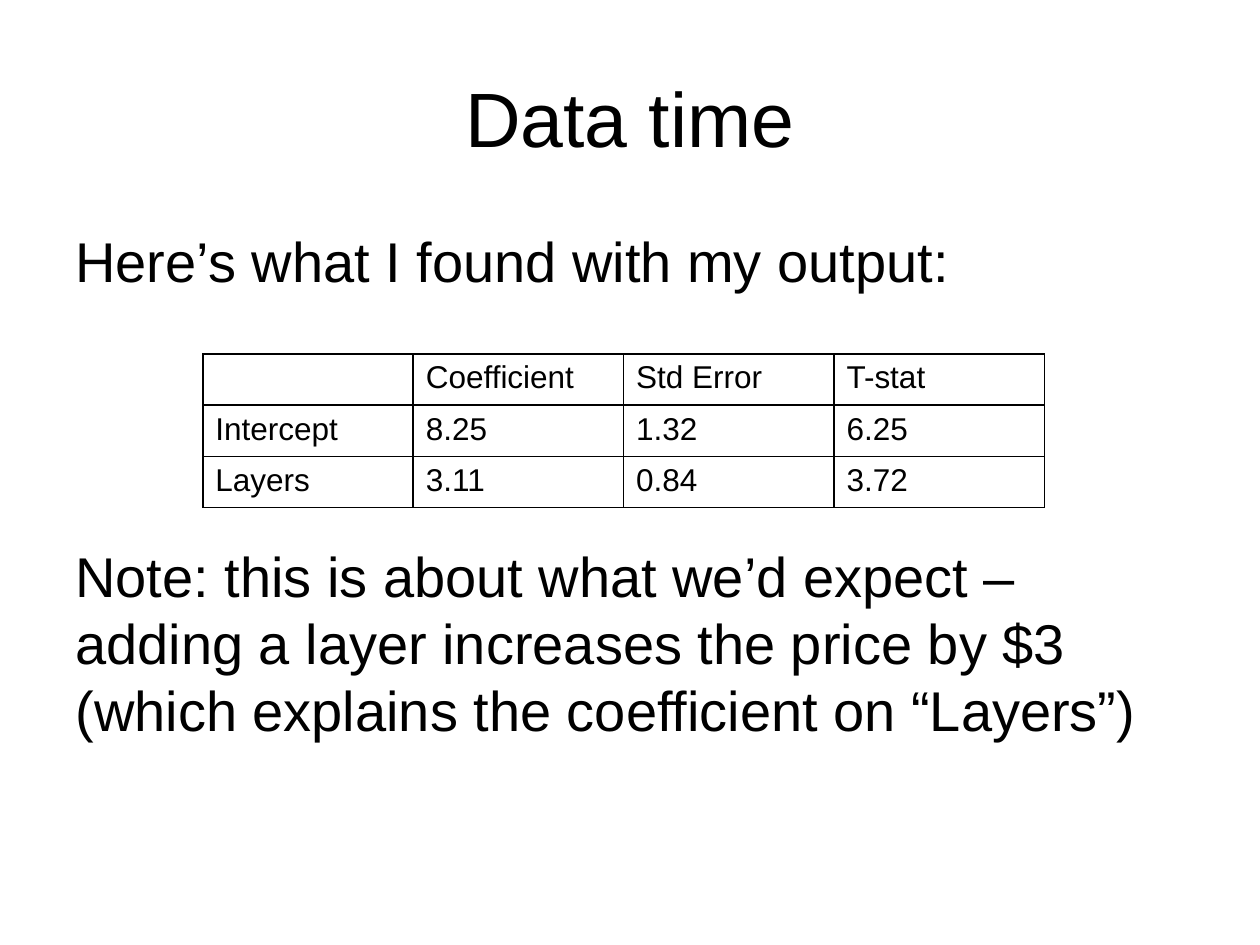
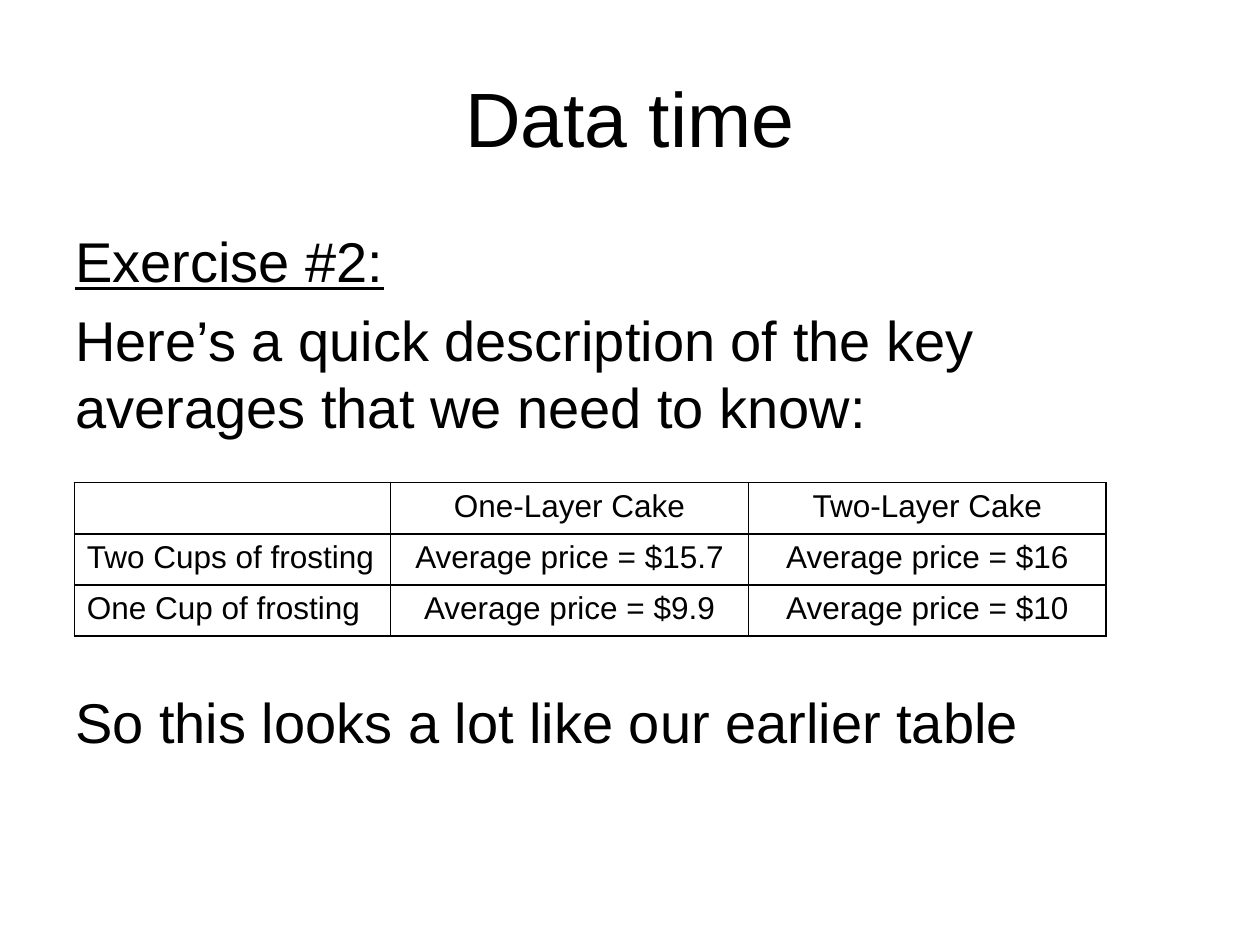
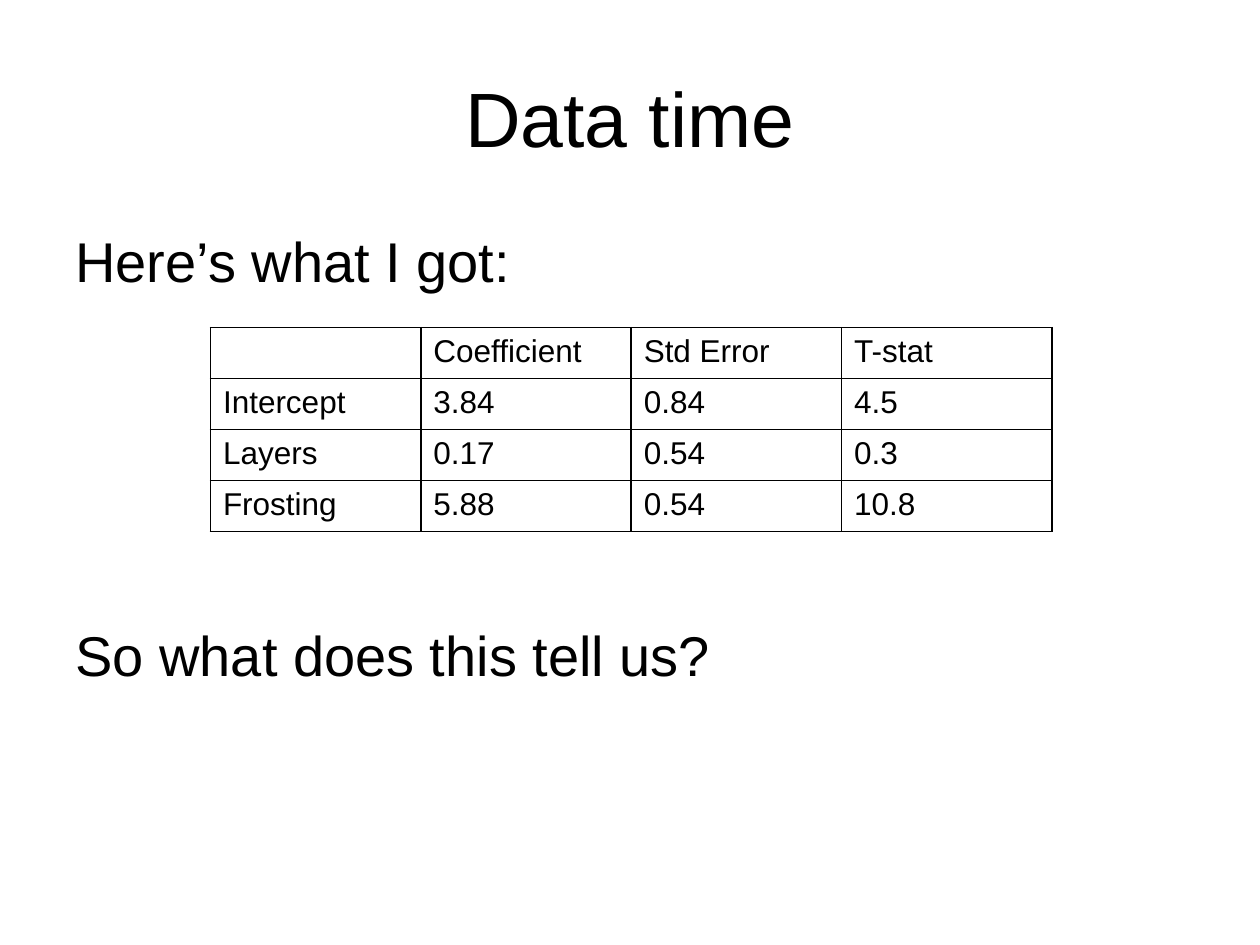
from lxml.etree import SubElement
from pptx import Presentation
from pptx.dml.color import RGBColor
from pptx.enum.text import MSO_ANCHOR as Anchor, PP_ALIGN as Align
from pptx.oxml.ns import qn
from pptx.util import Inches, Pt

SLIDE_WIDTH, SLIDE_HEIGHT = Inches(10), Inches(7.5)
GRID_COLUMNS, GRID_ROWS = 10, 7.5
TITLE_ONLY = 5
FONT = "Arial"
INK = "000000"
TITLE_SIZE, BODY_SIZE, TABLE_SIZE = 44, 32, 18
PARAGRAPH_GAP = 0.2 * BODY_SIZE
BODY_LINE = 45
BORDER_WIDTH = 1
TITLE_AREA = (0.5, 0.3, 9, 1.25)
BODY_AREA = (0.5, 1.75, 9, 4.95)
REGRESSION_HEADER = ["", "Coefficient", "Std Error", "T-stat"]
REGRESSION_COLUMNS = [1.67] * 4


def color(hex_string):
    """Turn a hex string into a colour."""
    return RGBColor.from_string(hex_string)


def across(columns):
    """Convert grid columns to a length."""
    return round(SLIDE_WIDTH * columns / GRID_COLUMNS)


def down(rows):
    """Convert grid rows to a length."""
    return round(SLIDE_HEIGHT * rows / GRID_ROWS)


def area(left, top, width, height):
    """Convert a grid area to lengths."""
    return across(left), down(top), across(width), down(height)


def format_paragraph(paragraph, size, align=Align.LEFT, underline=False):
    """Give a paragraph its alignment and its runs the deck's font."""
    paragraph.alignment = align
    for run in paragraph.runs:
        run.font.name = FONT
        run.font.size = Pt(size)
        run.font.color.rgb = color(INK)
        run.font.underline = underline


def add_titled_slide(presentation, title):
    """Add a slide with the shared title style."""
    slide = presentation.slides.add_slide(presentation.slide_layouts[TITLE_ONLY])
    shape = slide.shapes.title
    shape.left, shape.top, shape.width, shape.height = area(*TITLE_AREA)
    shape.text_frame.text = title
    shape.text_frame.vertical_anchor = Anchor.MIDDLE
    format_paragraph(shape.text_frame.paragraphs[0], TITLE_SIZE, Align.CENTER)
    return slide


def add_body(slide, heading, intro, conclusion, table_lines):
    """Add the body text, leaving a gap of table_lines before the conclusion."""
    frame = slide.shapes.add_textbox(*area(*BODY_AREA)).text_frame
    frame.word_wrap = True
    lines = [line for line in (heading, intro, conclusion) if line]
    frame.text = "\n".join(lines)
    for line, paragraph in zip(lines, frame.paragraphs):
        format_paragraph(paragraph, BODY_SIZE, underline=line == heading)
        paragraph.space_before = Pt(PARAGRAPH_GAP)
    frame.paragraphs[-1].space_before = Pt(PARAGRAPH_GAP + table_lines * BODY_LINE)


def add_borders(cell):
    """Draw a solid border on all four sides of a cell."""
    properties = cell._tc.get_or_add_tcPr()
    for position, side in enumerate(("lnL", "lnR", "lnT", "lnB")):
        line = SubElement(properties, qn(f"a:{side}"), w=str(Pt(BORDER_WIDTH)))
        fill = SubElement(line, qn("a:solidFill"))
        SubElement(fill, qn("a:srgbClr"), val=INK)
        properties.insert(position, line)


def add_grid_table(slide, left, top, height, columns, rows, value_align=Align.LEFT):
    """Add a plain ruled table with left-aligned row labels."""
    frame = slide.shapes.add_table(
        len(rows), len(columns), *area(left, top, sum(columns), height))
    table = frame.table
    table.first_row = table.horz_banding = False
    for column, width in zip(table.columns, columns):
        column.width = across(width)
    for row_index, row in enumerate(rows):
        for column_index, text in enumerate(row):
            cell = table.cell(row_index, column_index)
            cell.text_frame.text = text
            align = value_align if column_index else Align.LEFT
            format_paragraph(cell.text_frame.paragraphs[0], TABLE_SIZE, align)
            cell.fill.background()
            add_borders(cell)


def main():
    """Build the three slides and save them."""
    presentation = Presentation()
    presentation.slide_width, presentation.slide_height = SLIDE_WIDTH, SLIDE_HEIGHT

    slide = add_titled_slide(presentation, "Data time")
    add_body(slide, None, "Here’s what I found with my output:",
             "Note: this is about what we’d expect – adding a layer increases the "
             "price by $3 (which explains the coefficient on “Layers”)", 3)
    add_grid_table(slide, 1.61, 2.81, 1.22, REGRESSION_COLUMNS, [
        REGRESSION_HEADER,
        ["Intercept", "8.25", "1.32", "6.25"],
        ["Layers", "3.11", "0.84", "3.72"],
    ])

    slide = add_titled_slide(presentation, "Data time")
    add_body(slide, "Exercise #2:",
             "Here’s a quick description of the key averages that we need to know:",
             "So this looks a lot like our earlier table", 3)
    add_grid_table(slide, 0.59, 3.83, 1.22, [2.51, 2.84, 2.84], [
        ["", "One-Layer Cake", "Two-Layer Cake"],
        ["Two Cups of frosting", "Average price = $15.7", "Average price = $16"],
        ["One Cup of frosting", "Average price = $9.9", "Average price = $10"],
    ], Align.CENTER)

    slide = add_titled_slide(presentation, "Data time")
    add_body(slide, None, "Here’s what I got:", "So what does this tell us?", 4)
    add_grid_table(slide, 1.67, 2.6, 1.62, REGRESSION_COLUMNS, [
        REGRESSION_HEADER,
        ["Intercept", "3.84", "0.84", "4.5"],
        ["Layers", "0.17", "0.54", "0.3"],
        ["Frosting", "5.88", "0.54", "10.8"],
    ])

    presentation.save("out.pptx")


if __name__ == "__main__":
    main()
